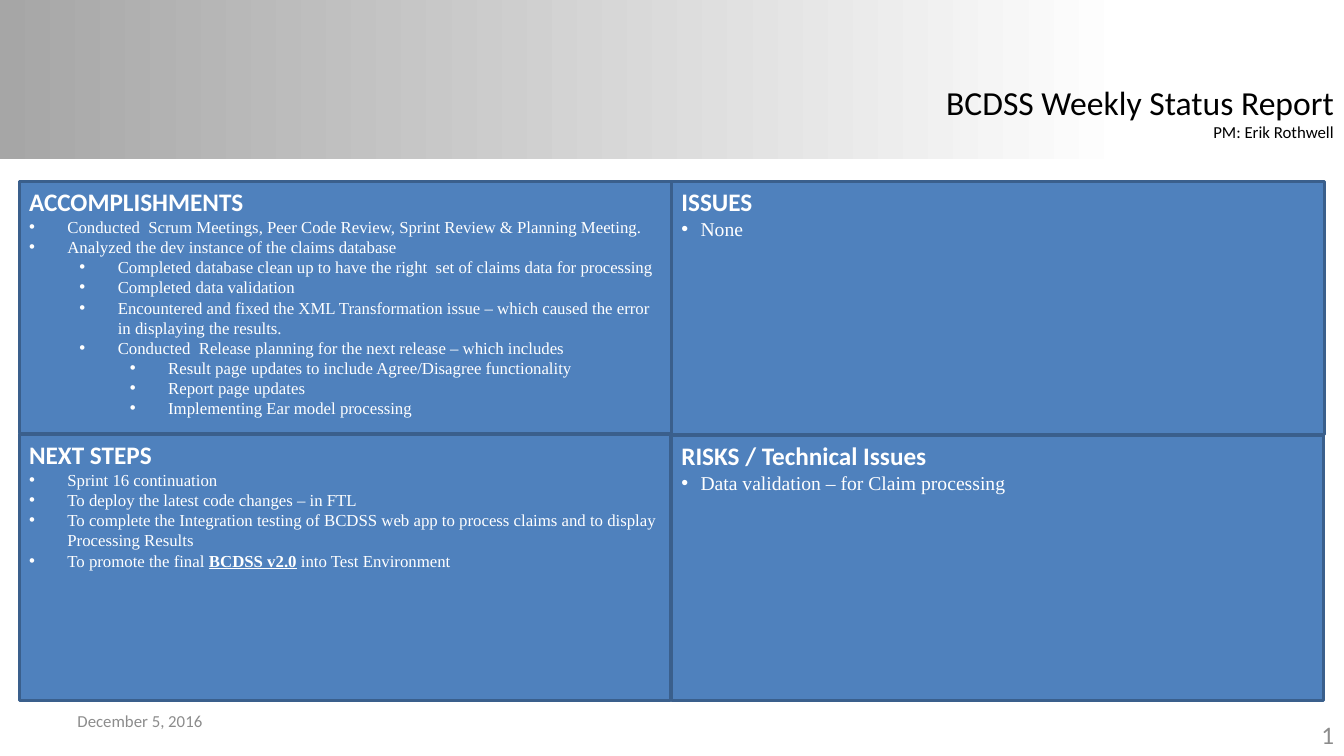
import pptx
import pptx.chart.data
import pptx.dml.color
import pptx.enum.shapes
import pptx.enum.text
import pptx.oxml
import pptx.util
from dataclasses import dataclass

Inches = pptx.util.Inches
Align = pptx.enum.text.PP_ALIGN
Anchor = pptx.enum.text.MSO_ANCHOR

TITLE = "BCDSS Weekly Status Report"
MANAGER = "PM: Erik Rothwell"
DATE = "December 5, 2016"
PAGE_NUMBER = "1"

PANELS = [
    {"at": (0.19, 1.8, 6.47, 2.5), "heading": "ACCOMPLISHMENTS", "size": 12, "indent": 0.38,
     "items": [
         (0, "Conducted  Scrum Meetings, Peer Code Review, Sprint Review & Planning Meeting."),
         (0, "Analyzed the dev instance of the claims database"),
         (1, "Completed database clean up to have the right  set of claims data for processing"),
         (1, "Completed data validation"),
         (1, "Encountered and fixed the XML Transformation issue – which caused the error "
             "in displaying the results."),
         (1, "Conducted  Release planning for the next release – which includes"),
         (2, "Result page updates to include Agree/Disagree functionality"),
         (2, "Report page updates"),
         (2, "Implementing Ear model processing"),
     ]},
    {"at": (0.19, 4.31, 6.46, 2.64), "heading": "NEXT STEPS", "size": 12, "indent": 0.38,
     "items": [
         (0, "Sprint 16 continuation"),
         (0, "To deploy the latest code changes – in FTL"),
         (0, "To complete the Integration testing of BCDSS web app to process claims and to "
             "display Processing Results"),
         (0, "To promote the final ", "BCDSS v2.0", " into Test Environment"),
     ]},
    {"at": (6.66, 1.8, 6.48, 2.51), "heading": "ISSUES", "size": 14, "indent": 0.19,
     "items": [(0, "None")]},
    {"at": (6.66, 4.32, 6.47, 2.63), "heading": "RISKS / Technical Issues", "size": 14,
     "indent": 0.19, "items": [(0, "Data validation – for Claim processing")]},
]


@dataclass(frozen=True)
class Theme:
    heading_font: str = "Calibri"
    body_font: str = "Times New Roman"
    black: str = "000000"
    white: str = "FFFFFF"
    muted: str = "8C8C8C"
    banner: str = "A6A6A6"
    panel: str = "4F81BD"
    border: str = "3A5F8C"
    title: int = 24
    heading: int = 18
    small: int = 12
    level_step: float = 0.5


THEME = Theme()


def rgb(value):
    return pptx.dml.color.RGBColor.from_string(value)


def add_text(para, text, *, size, color, font=THEME.heading_font, bold=False,
             underline=False, align=Align.LEFT):
    para.alignment = align
    span = para.add_run()
    span.text = text
    span.font.name = font
    span.font.size = pptx.util.Pt(size)
    span.font.color.rgb = rgb(color)
    span.font.bold = bold
    span.font.underline = underline


def add_bullet(para, level, indent):
    para.level = level
    props = para._p.get_or_add_pPr()
    props.set("marL", str(Inches(indent + level * THEME.level_step)))
    props.set("indent", str(-Inches(indent)))
    for tag, name, value in (("buFont", "typeface", "Arial"), ("buChar", "char", "•")):
        mark = props.makeelement(pptx.oxml.ns.qn("a:" + tag), {name: value})
        props.append(mark)


def add_rectangle(page, at):
    box = page.shapes.add_shape(pptx.enum.shapes.MSO_SHAPE.RECTANGLE, *map(Inches, at))
    box.shadow.inherit = False
    return box


def add_banner(page):
    banner = add_rectangle(page, (0, 0, 13.33, 1.58))
    banner.line.fill.background()
    banner.fill.gradient()
    banner.fill.gradient_angle = 0
    stops = ((0, THEME.banner), (0.84, THEME.white))
    for stop, (position, color) in zip(banner.fill.gradient_stops, stops):
        stop.position = position
        stop.color.rgb = rgb(color)
    page.shapes._spTree.insert(2, banner._element)


def add_title(page):
    title = page.shapes.title
    title.left, title.top, title.width, title.height = map(Inches, (9.25, 0.76, 4.08, 0.71))
    frame = title.text_frame
    frame.word_wrap = False
    frame.auto_size = pptx.enum.text.MSO_AUTO_SIZE.SHAPE_TO_FIT_TEXT
    frame.vertical_anchor = Anchor.TOP
    add_text(frame.paragraphs[0], TITLE, size=THEME.title, color=THEME.black, align=Align.RIGHT)
    add_text(frame.add_paragraph(), MANAGER, size=THEME.small, color=THEME.black,
             align=Align.RIGHT)


def add_panel(page, panel):
    box = add_rectangle(page, panel["at"])
    box.fill.solid()
    box.fill.fore_color.rgb = rgb(THEME.panel)
    box.line.color.rgb = rgb(THEME.border)
    box.line.width = pptx.util.Pt(2)
    frame = box.text_frame
    frame.word_wrap = True
    frame.vertical_anchor = Anchor.TOP
    add_text(frame.paragraphs[0], panel["heading"], size=THEME.heading, color=THEME.white,
             bold=True)
    for level, *parts in panel["items"]:
        para = frame.add_paragraph()
        add_bullet(para, level, panel["indent"])
        for index, part in enumerate(parts):
            strong = index % 2 == 1
            add_text(para, part, size=panel["size"], color=THEME.white, font=THEME.body_font,
                     bold=strong, underline=strong)


def add_footer(page, at, text, **style):
    box = page.shapes.add_textbox(*map(Inches, at))
    frame = box.text_frame
    frame.word_wrap = True
    frame.vertical_anchor = Anchor.MIDDLE
    add_text(frame.paragraphs[0], text, color=THEME.muted, **style)


def main():
    deck = pptx.Presentation()
    deck.slide_width, deck.slide_height = Inches(13.33), Inches(7.5)
    page = deck.slides.add_slide(deck.slide_layouts[5])
    add_banner(page)
    add_title(page)
    for panel in PANELS:
        add_panel(page, panel)
    add_footer(page, (0.67, 6.95, 3.11, 0.4), DATE, size=THEME.small)
    add_footer(page, (10.22, 7.09, 3.11, 0.4), PAGE_NUMBER, size=THEME.heading,
               align=Align.RIGHT)
    deck.save("out.pptx")


if __name__ == "__main__":
    main()
